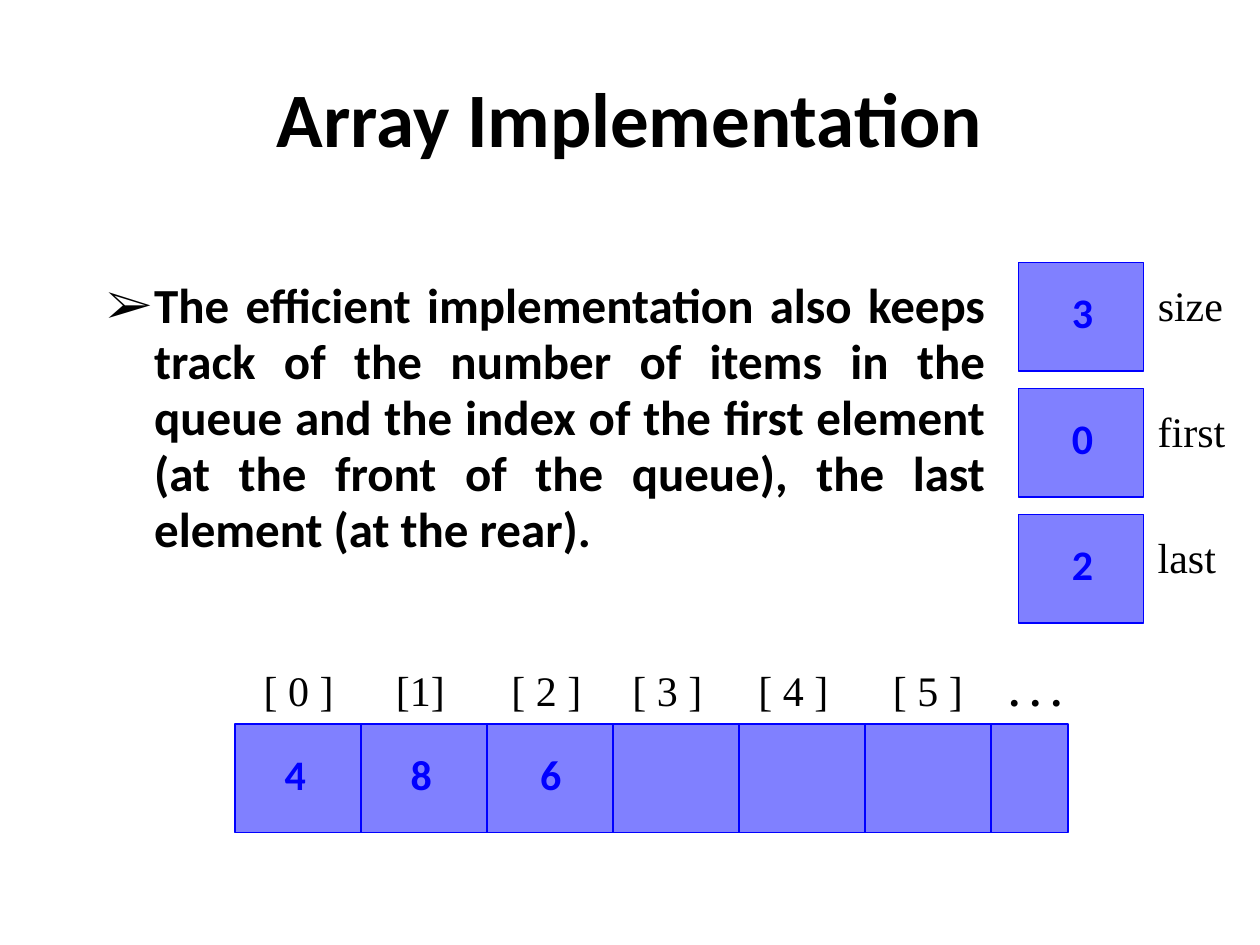
from lxml.etree import SubElement
from pptx import Presentation
from pptx.dml.color import RGBColor
from pptx.enum.shapes import MSO_CONNECTOR as Conn, MSO_SHAPE as Shape
from pptx.enum.text import (MSO_ANCHOR as Anchor, MSO_AUTO_SIZE as Auto,
                            PP_ALIGN as Align)
from pptx.oxml.ns import qn
from pptx.util import Pt

BLACK, BLUE, FILL = "000000", "0000FF", "8080FF"
SERIF, SANS = "Times New Roman", "Calibri"
STEP, HIGH = 72, 62.2


def color(code):
    return RGBColor.from_string(code)


def write(area, words, size, face=SANS, ink=BLACK, bold=True,
          align=Align.CENTER, wrap=True):
    frame = area.text_frame
    frame.text = words
    frame.word_wrap = wrap
    frame.vertical_anchor = Anchor.TOP
    para = frame.paragraphs[0]
    para.alignment = align
    font = para.runs[0].font
    font.name, font.size, font.bold = face, Pt(size), bold
    font.color.rgb = color(ink)
    return frame


def panel(shapes, box):
    """Add a barely rounded rectangle without shadow."""
    rect = shapes.add_shape(Shape.ROUNDED_RECTANGLE, *map(Pt, box))
    rect.adjustments[0] = 0
    rect.shadow.inherit = False
    return rect


def label(shapes, mid, top, wide, words, **style):
    """Place one unwrapped line of text, centred on mid."""
    area = panel(shapes, (mid - wide / 2, top, wide, 33.8))
    area.fill.background()
    area.line.fill.background()
    frame = write(area, words, 24, wrap=False, **style)
    frame.auto_size = Auto.SHAPE_TO_FIT_TEXT
    frame.paragraphs[0].line_spacing = 0.93


def digit(shapes, mid, top, words):
    label(shapes, mid, top, 26.6, words, ink=BLUE)


def block(shapes, box):
    rect = panel(shapes, box)
    rect.fill.solid()
    rect.fill.fore_color.rgb = color(FILL)
    rect.line.color.rgb = color(BLUE)
    rect.line.width = Pt(1)


def rule(shapes, x, top, end):
    line = shapes.add_connector(Conn.STRAIGHT, Pt(x), Pt(top), Pt(x), Pt(end))
    line.line.color.rgb = color(BLUE)
    line.line.width = Pt(1)
    SubElement(line._element.spPr, qn("a:effectLst"))


def title(slide, box):
    area = slide.shapes.add_textbox(*map(Pt, box))
    frame = write(area, "Array Implementation", 44)
    frame.vertical_anchor = Anchor.MIDDLE


def body(slide, box):
    words = ("The efficient implementation also keeps track of the number of "
             "items in the queue and the index of the first element (at the "
             "front of the queue), the last element (at the rear).")
    area = slide.shapes.add_textbox(*map(Pt, box))
    frame = write(area, words, 28, align=Align.JUSTIFY)
    para = frame.paragraphs[0]
    para.line_spacing = 0.95
    props = para._p.get_or_add_pPr()
    props.set("marL", str(Pt(27)))
    props.set("indent", str(Pt(-27)))
    SubElement(props, qn("a:buFont"), typeface=SERIF)
    SubElement(props, qn("a:buChar"), char="➢")


def array(slide, box):
    """Draw the queue cells with an index above each; offsets are from left."""
    left, top, wide, high = box
    shapes = slide.shapes.add_group_shape().shapes
    block(shapes, box)
    for n in range(1, 7):
        rule(shapes, left + n * STEP, top, top + high)
    marks = [("[ 0 ]", 36.5), ("[1]", 106), ("[ 2 ]", 178), ("[ 3 ]", 247.2),
             ("[ 4 ]", 319.2), ("[ 5 ]", 396)]
    for words, mid in marks:
        label(shapes, left + mid, top - 35, 54.7, words,
              face=SERIF, bold=False)
    label(shapes, left + 457.5, top - 35, 44.6, ". . .", face=SERIF)
    for words, mid in [("4", 34.6), ("8", 106.6), ("6", 180.6)]:
        digit(shapes, left + mid, top + 13, words)


def fields(slide, box):
    """Stack the three counters, each with its name on the right."""
    left, top, wide, high = box
    shapes = slide.shapes.add_group_shape().shapes
    rows = [("size", "3", 51.8), ("first", "0", 53.3), ("last", "2", 47.5)]
    for n, (name, value, span) in enumerate(rows):
        y = top + n * STEP
        label(shapes, left + wide + 1 + span / 2, y + 8.6, span, name,
              face=SERIF, bold=False, align=Align.LEFT)
        block(shapes, (left, y, wide, high))
        digit(shapes, left + 36.6, y + 13, value)


def main():
    deck = Presentation()
    deck.slide_width, deck.slide_height = Pt(720), Pt(540)
    slide = deck.slides.add_slide(deck.slide_layouts[6])
    body(slide, (54, 156, 516, 174))
    array(slide, (134.2, 413.6, 476, HIGH))
    fields(slide, (582, 150, 71.5, HIGH))
    title(slide, (36, 21.6, 648, 90))
    deck.save("out.pptx")


if __name__ == "__main__":
    main()
